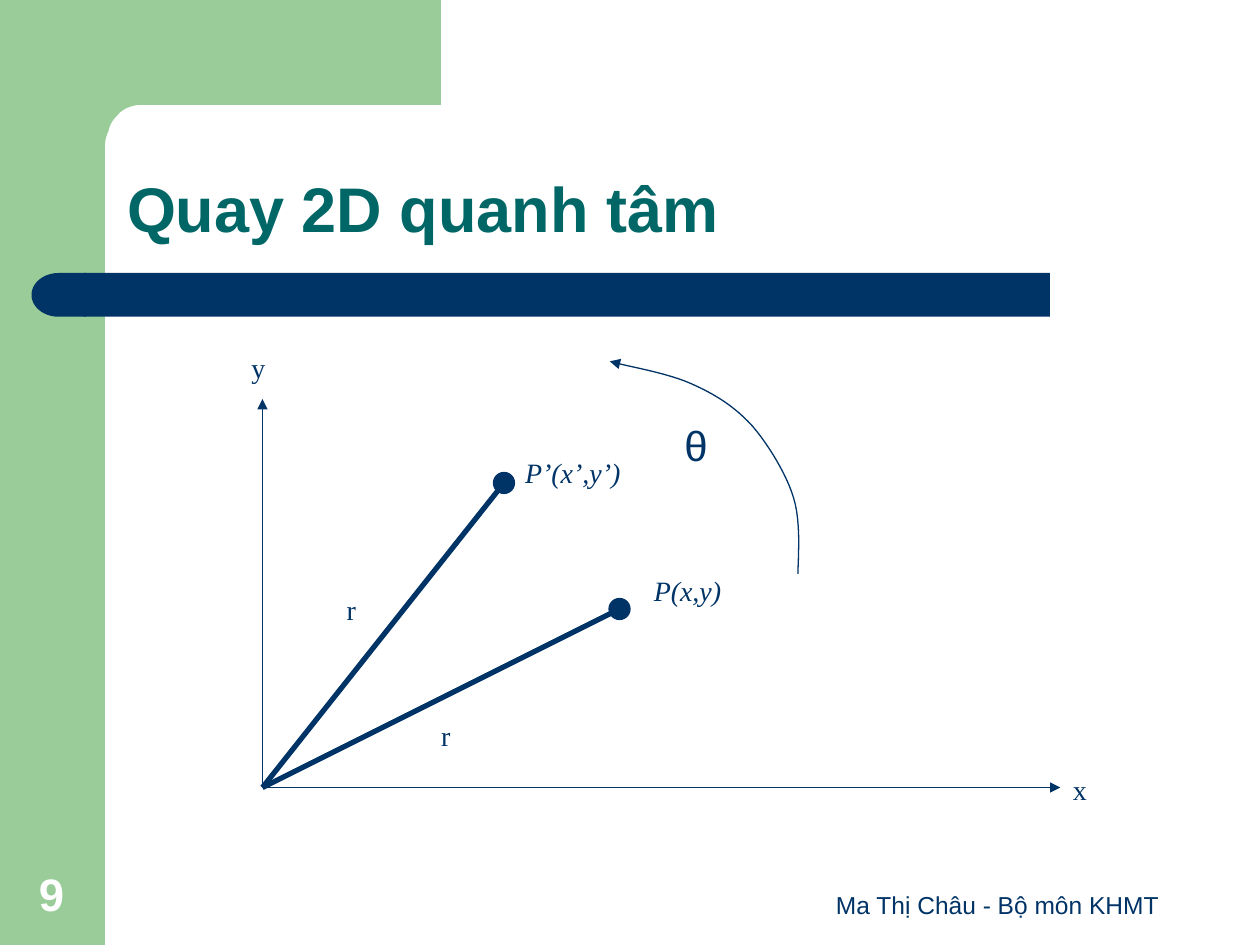
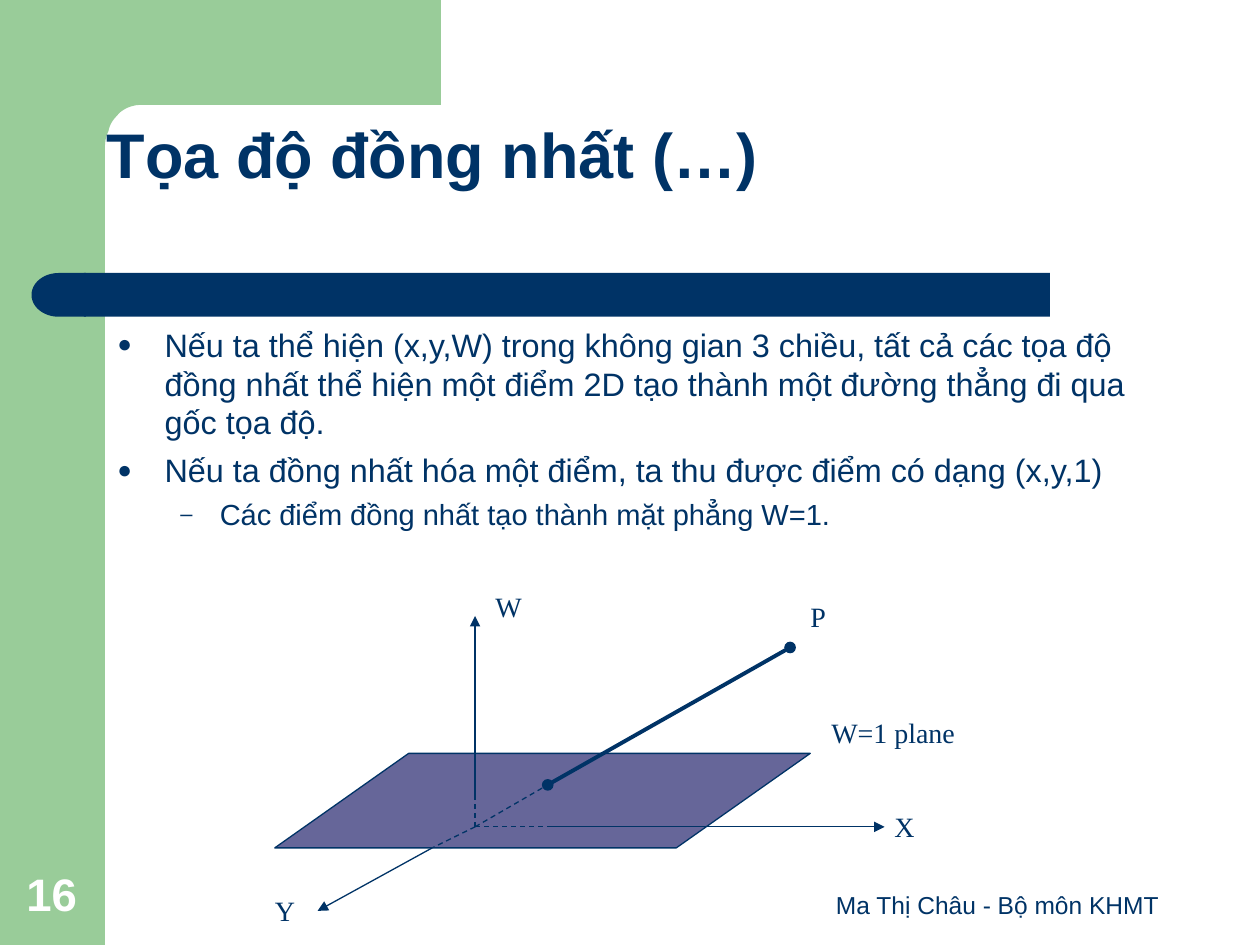
from lxml import etree
from pptx import Presentation
from pptx import util as u
from pptx.dml import color
from pptx.enum import dml, shapes, text
from pptx.oxml import ns

COLORS = {"navy": "003366", "green": "99CC99", "teal": "006666",
          "violet": "666699", "white": "FFFFFF"}
SANS = "Arial"
SERIF = "Times New Roman"
KIND = shapes.MSO_SHAPE
CENTER = text.PP_ALIGN.CENTER
FOOTER = "Ma Thị Châu - Bộ môn KHMT"


def rgb(name):
    return color.RGBColor.from_string(COLORS[name])


def append_xml(parent, tag, **attributes):
    return etree.SubElement(parent, ns.qn(tag), attributes)


def paint(shape, fill=None, line=None, width=0.75):
    shape.shadow.inherit = False
    if fill:
        shape.fill.solid()
        shape.fill.fore_color.rgb = rgb(fill)
    else:
        shape.fill.background()
    if line:
        shape.line.color.rgb = rgb(line)
        shape.line.width = u.Pt(width)
    else:
        shape.line.fill.background()


def add_form(page, kind, left, top, width, height, fill, line=None):
    shape = page.shapes.add_shape(kind, u.Pt(left), u.Pt(top), u.Pt(width), u.Pt(height))
    paint(shape, fill, line)
    return shape


def curve_points(start, pieces, steps=12):
    points = [start]
    for first, second, end in pieces:
        origin = points[-1]
        for step in range(1, steps + 1):
            t = step / steps
            weights = ((1 - t) ** 3, 3 * t * (1 - t) ** 2, 3 * t * t * (1 - t), t ** 3)
            corners = (origin, first, second, end)
            points.append(tuple(sum(w * c[axis] for w, c in zip(weights, corners))
                                for axis in (0, 1)))
    return points


def add_outline(page, points, close):
    places = [(u.Pt(x), u.Pt(y)) for x, y in points]
    builder = page.shapes.build_freeform(*places[0])
    builder.add_line_segments(places[1:], close=close)
    return builder.convert_to_shape()


def add_ends(shape, head=None, tail=None):
    line = shape.line._get_or_add_ln()
    for tag, kind in (("a:headEnd", head), ("a:tailEnd", tail)):
        if kind:
            append_xml(line, tag, type=kind)


def add_line(page, start, end, width=0.75, dashed=False, head=None, tail=None):
    line = page.shapes.add_connector(shapes.MSO_CONNECTOR.STRAIGHT,
                                     *(u.Pt(value) for value in (*start, *end)))
    line.line.color.rgb = rgb("navy")
    line.line.width = u.Pt(width)
    if dashed:
        line.line.dash_style = dml.MSO_LINE.DASH
    add_ends(line, head, tail)
    append_xml(line._element.spPr, "a:effectLst")


def add_span(para, words, size, font=SANS, ink="navy", bold=False, italic=False):
    span = para.add_run()
    span.text = words
    span.font.size = u.Pt(size)
    span.font.name = font
    span.font.color.rgb = rgb(ink)
    span.font.bold = bold
    span.font.italic = italic


def add_box(page, left, top, width, height, anchor=text.MSO_ANCHOR.TOP):
    box = page.shapes.add_textbox(u.Pt(left), u.Pt(top), u.Pt(width), u.Pt(height))
    box.text_frame.word_wrap = True
    box.text_frame.vertical_anchor = anchor
    return box.text_frame


def add_bottom_text(page, area, words, size, ink="navy", bold=False, align=None, spacing=None):
    para = add_box(page, *area, text.MSO_ANCHOR.BOTTOM).paragraphs[0]
    para.alignment = align
    para.line_spacing = spacing
    add_span(para, words, size, ink=ink, bold=bold)


def add_label(page, words, left, top, width, size=16, font=SERIF, italic=False):
    frame = add_box(page, left, top, width, size * 1.2 + 7.2)
    add_span(frame.paragraphs[0], words, size, font, italic=italic)


def add_bullet(para, words, mark, size, before, left, hanging):
    para.space_before = u.Pt(before)
    props = para._p.get_or_add_pPr()
    props.set("marL", str(u.Pt(left)))
    props.set("indent", str(-u.Pt(hanging)))
    append_xml(append_xml(props, "a:buClr"), "a:srgbClr", val=COLORS["navy"])
    append_xml(props, "a:buSzPct", val="75000")
    append_xml(props, "a:buFont", typeface=SANS)
    append_xml(props, "a:buChar", char=mark)
    add_span(para, words, size)


def add_page(deck, number, title, title_area, title_ink):
    page = deck.slides.add_slide(deck.slide_layouts[6])
    add_form(page, KIND.RECTANGLE, 0, 0, 60, 540, "green")
    corner = curve_points((80, 60), [((76, 60), (70, 62), (67, 66)),
                                     ((64, 69), (62.5, 72), (62, 75)),
                                     ((60.5, 78), (60, 81), (60, 84))])
    band = [(252, 0), (252, 60), *corner, (60, 92), (36, 92), (36, 0)]
    paint(add_outline(page, band, True), "green")
    add_form(page, KIND.RECTANGLE, 48, 156, 552, 25, "navy")
    add_form(page, KIND.FLOWCHART_DELAY, 18, 156, 31, 25, "navy").rotation = 180
    add_bottom_text(page, (456, 491.5, 228, 37.5), FOOTER, 14, align=CENTER)
    add_bottom_text(page, (6.5, 491.5, 46, 38), number, 26, "white", True, CENTER)
    add_bottom_text(page, title_area, title, 36, title_ink, True, spacing=0.9)
    return page


def build_rotation(deck):
    page = add_page(deck, "9", "Quay 2D quanh tâm", (65.5, 65.5, 613, 78.5), "teal")
    origin = (150, 450)
    for axis_end in ((150, 228), (606, 450)):
        add_line(page, origin, axis_end, tail="triangle")
    for x, y in ((354, 348), (288, 276)):
        add_form(page, KIND.OVAL, x - 6, y - 6, 12, 12, "navy", "navy")
        add_line(page, origin, (x, y), 3)
    for words, left, top, width in (("y", 136.5, 196.5, 26), ("x", 606, 438, 26),
                                    ("r", 191, 335, 24), ("r", 245, 407, 24)):
        add_label(page, words, left, top, width)
    add_label(page, "P’(x’,y’)", 293, 257, 76, italic=True)
    add_label(page, "P(x,y)", 366.5, 324, 60, italic=True)
    turn = curve_points((456, 328), [((456, 320), (458, 299), (453.5, 284.5)),
                                     ((449.5, 271), (439, 254), (430, 243.5)),
                                     ((420, 232.5), (409, 225.5), (395.5, 219.5)),
                                     ((381.5, 213), (358.5, 209.5), (348.5, 206.5))])
    arc = add_outline(page, turn, False)
    paint(arc, line="navy")
    add_ends(arc, tail="triangle")
    add_label(page, "θ", 384, 236, 32, 24, SANS)


def build_homogeneous(deck):
    page = add_page(deck, "16", "Tọa độ đồng nhất (…)", (54, 35, 625, 78.5), "navy")
    frame = add_box(page, 60, 182, 612, 145)
    main_style = ("●", 18.5, 5, 27, 27)
    bullets = [
        ("Nếu ta thể hiện (x,y,W) trong không gian 3 chiều, tất cả các tọa độ đồng nhất "
         "thể hiện một điểm 2D tạo thành một đường thẳng đi qua gốc tọa độ.", *main_style),
        ("Nếu ta đồng nhất hóa một điểm, ta thu được điểm có dạng (x,y,1)", *main_style),
        ("Các điểm đồng nhất tạo thành mặt phẳng W=1.", "–", 16.6, 4.5, 58.5, 22.5),
    ]
    for index, bullet in enumerate(bullets):
        para = frame.add_paragraph() if index else frame.paragraphs[0]
        add_bullet(para, *bullet)
    plane = add_form(page, KIND.PARALLELOGRAM, 157, 430.5, 306, 54, "violet", "navy")
    plane.adjustments[0] = 1.417
    origin = (271.5, 472.5)
    crossing = (313, 448.5)
    for hidden_end, axis_end in (((271.5, 454.5), (271.5, 352)),
                                 ((313, 472.5), (505.5, 472.5)),
                                 ((247, 484.5), (181.5, 520.5))):
        add_line(page, origin, hidden_end, dashed=True)
        add_line(page, hidden_end, axis_end, tail="triangle")
    add_line(page, origin, crossing, dashed=True)
    add_line(page, crossing, (451.5, 370), 2.25, head="oval", tail="oval")
    for words, left, top, width in (("P", 456, 339, 28), ("X", 504, 459, 30),
                                    ("Y", 150, 507, 30), ("W", 276, 333.5, 34),
                                    ("W=1 plane", 468, 405.5, 94)):
        add_label(page, words, left, top, width)


def main():
    deck = Presentation()
    deck.slide_width = u.Pt(720)
    deck.slide_height = u.Pt(540)
    build_rotation(deck)
    build_homogeneous(deck)
    deck.save("out.pptx")


if __name__ == "__main__":
    main()
